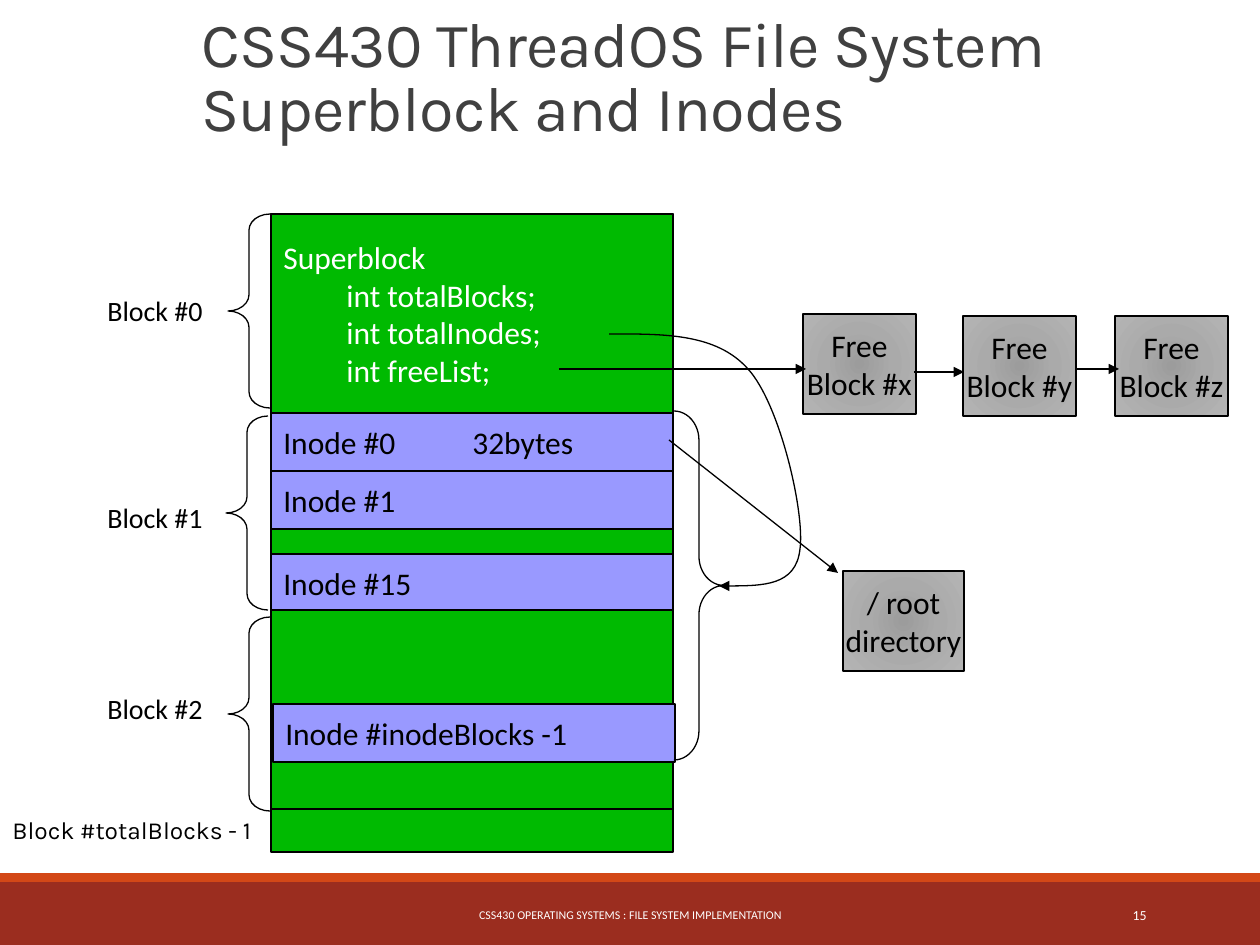
from dataclasses import dataclass

from lxml import etree
from pptx import Presentation
from pptx.dml.color import RGBColor
from pptx.enum.shapes import MSO_CONNECTOR, MSO_SHAPE
from pptx.enum.text import MSO_ANCHOR, PP_ALIGN
from pptx.oxml import parse_xml
from pptx.oxml.ns import nsdecls, qn
from pptx.util import Pt

RECT, LEFT, RIGHT = MSO_SHAPE.RECTANGLE, MSO_SHAPE.LEFT_BRACE, MSO_SHAPE.RIGHT_BRACE
LINE = MSO_CONNECTOR.STRAIGHT
TOP, MID, LOW = MSO_ANCHOR.TOP, MSO_ANCHOR.MIDDLE, MSO_ANCHOR.BOTTOM
START, MEAN, END = PP_ALIGN.LEFT, PP_ALIGN.CENTER, PP_ALIGN.RIGHT
SCALE = 914400 / 126
TAB = 457200


@dataclass(frozen=True)
class Theme:
    body: str = "Calibri"
    head: str = "Karla"
    ink: str = "000000"
    pale: str = "FFFFFF"
    gray: str = "404040"
    green: str = "00BA01"
    blue: str = "9999FF"
    rust: str = "9B2D1F"
    flame: str = "D34817"
    fade: tuple = ((0, "9C9C9C"), (45, "AAAAAA"), (100, "B4B4B4"))
    title: float = 36
    main: float = 18
    label: float = 16
    small: float = 14
    foot: float = 6.8
    page: float = 7.9
    thin: float = 0.75
    edge: float = 1


T = Theme()

TITLE = "CSS430 ThreadOS File System\vSuperblock and Inodes"
SUPER = "Superblock\n\tint totalBlocks;\n\tint totalInodes;\n\tint freeList;"
BAND = [((0, 882, 1260, 63), T.rust), ((0, 873, 1260, 9), T.flame)]
DISK_X, DISK_W, BLOCK_H, NODE_H = 271, 402, 199, 58
DISK = [
    (0, 214, 638, T.green, ""),
    (0, 214, BLOCK_H, T.green, SUPER),
    (0, 413, BLOCK_H, T.green, ""),
    (0, 413, NODE_H, T.blue, "Inode #0\t\t32bytes"),
    (0, 471, NODE_H, T.blue, "Inode #1"),
    (0, 554, NODE_H, T.blue, "Inode #15"),
    (0, 610, BLOCK_H, T.green, ""),
    (2, 704, NODE_H, T.blue, "Inode #inodeBlocks -1"),
]
LABELS = [("Block #0", 287), ("Block #1", 494), ("Block #2", 685)]
BRACES = [
    (LEFT, (228, 214, 42, 194), 0.385),
    (LEFT, (226, 416, 42, 194), 0.385),
    (LEFT, (228, 617, 42, 194), 0.385),
    (RIGHT, (674, 411, 50, 349), 0.583),
]
CURVE = [(609, 334), (663, 334), (716, 333), (748, 369), (780, 404),
         (805, 513), (800, 549), (796, 586), (757, 586), (719, 586)]
BOXES = [
    ("Free\nBlock #x", (803, 314, 113, 100)),
    ("Free\nBlock #y", (963, 316, 113, 100)),
    ("Free\nBlock #z", (1115, 316, 113, 100)),
    ("/ root\ndirectory", (843, 571, 121, 100)),
]
ARROWS = [(559, 369, 806, 369), (669, 440, 838, 573),
          (914, 372, 964, 372), (1076, 369, 1119, 369)]


def px(*vals):
    return [round(v * SCALE) for v in vals]


def rgb(tone):
    return RGBColor.from_string(tone)


def ink(shape, width=T.thin):
    shape.line.color.rgb = rgb(T.ink)
    shape.line.width = Pt(width)


def tip(shape):
    ink(shape)
    line = shape.line._get_or_add_ln()
    etree.SubElement(line, qn("a:tailEnd"), type="triangle")


def write(shape, text, size, tone=T.ink, font=T.body, align=START,
          anchor=MID, wrap=True):
    frame = shape.text_frame
    frame.text = text
    frame.word_wrap = wrap
    frame.vertical_anchor = anchor
    for para in frame.paragraphs:
        para.alignment = align
        para._p.get_or_add_pPr().set("defTabSz", str(TAB))
        for run in para.runs:
            run.font.size = Pt(size)
            run.font.name = font
            run.font.color.rgb = rgb(tone)
    return frame


def add(kind, box, fill=None):
    shape = shapes.add_shape(kind, *px(*box))
    shape.shadow.inherit = False
    if fill:
        shape.fill.solid()
        shape.fill.fore_color.rgb = rgb(fill)
    else:
        shape.fill.background()
    return shape


def note(box, *args, **opts):
    return write(shapes.add_textbox(*px(*box)), *args, **opts)


def shade(shape):
    stops = "".join(
        f'<a:gs pos="{pos * 1000}"><a:srgbClr val="{tone}"/></a:gs>'
        for pos, tone in T.fade)
    grad = parse_xml(
        f'<a:gradFill {nsdecls("a")}><a:gsLst>{stops}</a:gsLst>'
        '<a:path path="circle"><a:fillToRect l="100000" t="100000" '
        'r="100000" b="100000"/></a:path></a:gradFill>')
    props = shape._element.spPr
    props.replace(props.find(qn("a:noFill")), grad)


def bend(points):
    spots = [tuple(px(*spot)) for spot in points]
    pen = shapes.build_freeform(*spots[0])
    pen.add_line_segments(spots[1:], close=False)
    shape = pen.convert_to_shape()
    shape.shadow.inherit = False
    shape.fill.background()
    tip(shape)
    track = next(shape._element.iter(qn("a:path")))
    legs = track.findall(qn("a:lnTo"))
    for i in range(0, len(legs), 3):
        cubic = etree.SubElement(track, qn("a:cubicBezTo"))
        for leg in legs[i:i + 3]:
            cubic.append(leg[0])
            track.remove(leg)


deck = Presentation()
deck.slide_width, deck.slide_height = px(1260, 945)
shapes = deck.slides.add_slide(deck.slide_layouts[6]).shapes

for box, tone in BAND:
    add(RECT, box, tone).line.fill.background()
note((381, 890, 499, 50), "CSS430 OPERATING SYSTEMS : FILE SYSTEM IMPLEMENTATION",
     T.foot, T.pale, align=MEAN)
note((1023, 890, 136, 50), "15", T.page, T.pale, align=END)
head = note((189, 0, 1071, 151), TITLE, T.title, T.gray, T.head, anchor=LOW)
for para in head.paragraphs:
    para.line_spacing = 0.85
    for run in para.runs:
        run.font._element.set("spc", "-40")

for shift, y, high, tone, text in DISK:
    bar = add(RECT, (DISK_X + shift, y, DISK_W, high), tone)
    ink(bar)
    if text:
        write(bar, text, T.main, T.pale if tone == T.green else T.ink)

for text, y in LABELS:
    note((95, y, 122, 47), text, T.label, anchor=TOP, wrap=False)
for kind, box, bow in BRACES:
    brace = add(kind, box)
    brace.adjustments[0] = bow
    brace.adjustments[1] = 0.5
    ink(brace)
bend(CURVE)
last = note((0, 809, 263, 43), "Block #totalBlocks - 1", T.small, font=T.head,
            anchor=TOP, wrap=False)
last.margin_right = 0

for text, box in BOXES:
    cell = add(RECT, box)
    shade(cell)
    ink(cell, T.edge)
    frame = write(cell, text, T.main, align=MEAN)
    frame.margin_left = frame.margin_right = 0

for ends in ARROWS:
    arrow = shapes.add_connector(LINE, *px(*ends))
    tip(arrow)
    etree.SubElement(arrow._element.spPr, qn("a:effectLst"))

deck.save("out.pptx")
